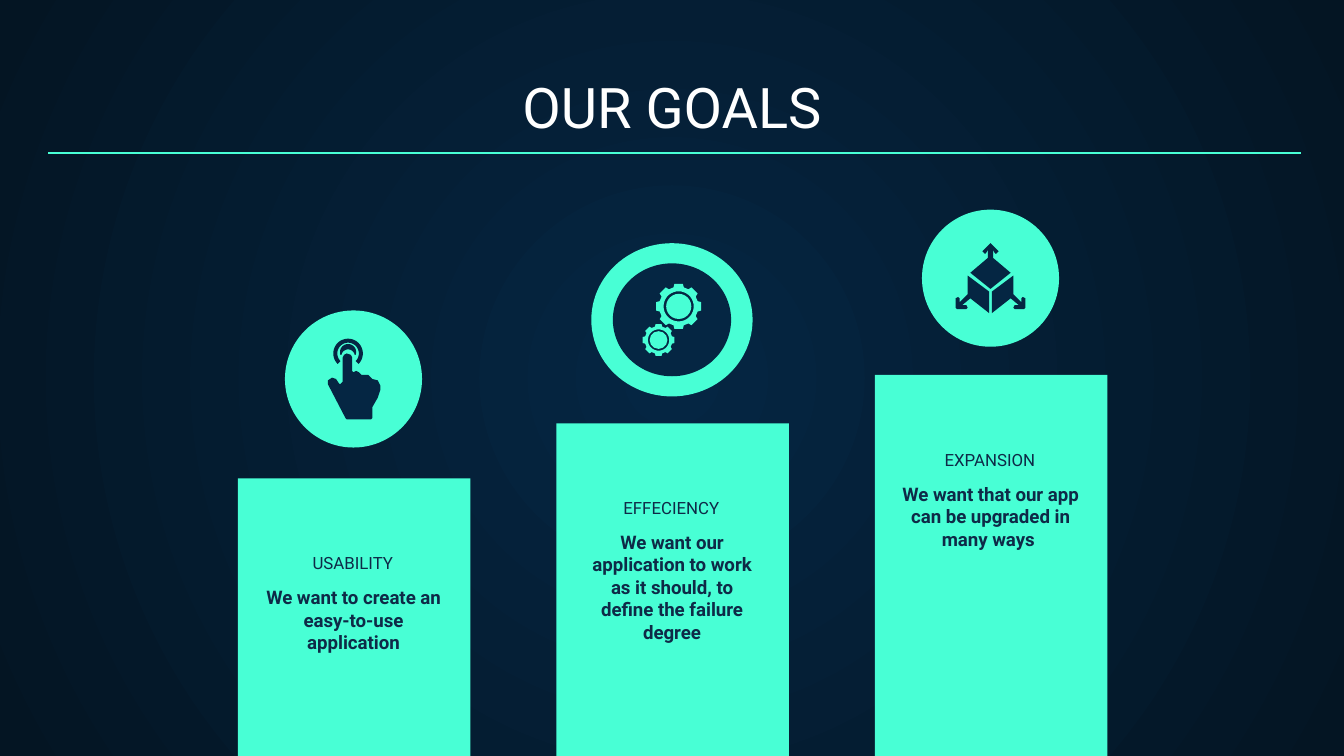
from dataclasses import dataclass
from math import cos, pi, radians, sin

from lxml import etree
from pptx import Presentation
from pptx import util as u
from pptx.dml.color import RGBColor
from pptx.enum import shapes, text
from pptx.oxml.ns import qn

WIDTH = 10
HEIGHT = WIDTH * 9 / 16
FIRST_COLUMN, COLUMN_STEP, BAR_WIDTH = 1.77, 2.37, 1.73
Point = tuple[float, float]


@dataclass(frozen=True)
class Theme:
    font: str = "Roboto"
    mint: str = "48FFD5"
    navy: str = "052643"
    night: str = "041523"
    ink: str = "0E2A47"
    white: str = "FFFFFF"
    title_size: int = 30
    label_size: int = 9
    body_size: int = 10


@dataclass(frozen=True)
class Goal:
    column: int
    top: float
    label: str
    body: str

    @property
    def left(self) -> float:
        return FIRST_COLUMN + self.column * COLUMN_STEP


THEME = Theme()
GOALS = (
    Goal(0, 3.56, "USABILITY", "We want to create an easy-to-use application"),
    Goal(1, 3.15, "EFFECIENCY",
         "We want our application to work as it should, to define the failure degree"),
    Goal(2, 2.79, "EXPANSION", "We want that our app can be upgraded in many ways "),
)
HAND = [
    (2.58, 2.63), (2.56, 2.64), (2.55, 2.66), (2.55, 2.84), (2.53, 2.86), (2.52, 2.85),
    (2.5, 2.82), (2.47, 2.81), (2.44, 2.83), (2.44, 2.86), (2.57, 3.11), (2.58, 3.12),
    (2.76, 3.12), (2.77, 3.11), (2.77, 3.03), (2.81, 2.96), (2.83, 2.9), (2.83, 2.87),
    (2.81, 2.83), (2.77, 2.82), (2.76, 2.81), (2.74, 2.79), (2.72, 2.79), (2.69, 2.79),
    (2.67, 2.77), (2.65, 2.76), (2.63, 2.77), (2.62, 2.76), (2.62, 2.66), (2.61, 2.64),
]
CUBE_AXIS = 7.37
CUBE_SIDE = [
    (7.2, 2.05), (7.2, 2.19), (7.14, 2.25), (7.14, 2.22), (7.13, 2.21), (7.11, 2.22),
    (7.11, 2.29), (7.12, 2.3), (7.19, 2.3), (7.2, 2.29), (7.19, 2.27), (7.16, 2.27),
    (7.22, 2.22), (7.36, 2.33), (7.36, 2.17),
]
CUBE_TOP = [
    (7.37, 1.81), (7.36, 1.82), (7.32, 1.86), (7.31, 1.87), (7.33, 1.89), (7.34, 1.88),
    (7.35, 1.86), (7.35, 1.92), (7.22, 2.03), (7.37, 2.15),
]


def color(value: str) -> RGBColor:
    return RGBColor.from_string(value)


def finish(shape, fill: str) -> None:
    shape.shadow.inherit = False
    shape.fill.solid()
    shape.fill.fore_color.rgb = color(fill)
    shape.line.fill.background()


def add_preset(parent, kind, left: float, top: float, width: float, height: float,
               fill: str) -> None:
    finish(parent.add_shape(kind, *map(u.Inches, (left, top, width, height))), fill)


def add_ellipse(parent, center: Point, rx: float, ry: float, fill: str) -> None:
    x, y = center
    add_preset(parent, shapes.MSO_SHAPE.OVAL, x - rx, y - ry, 2 * rx, 2 * ry, fill)


def add_outline(parent, contours: list[list[Point]], fill: str) -> None:
    """Draw closed contours as one shape; an inner contour cuts a hole."""
    first, *others = [[(u.Inches(x), u.Inches(y)) for x, y in c] for c in contours]
    builder = parent.build_freeform(*first[0])
    builder.add_line_segments(first[1:], close=True)
    for contour in others:
        builder.move_to(*contour[0])
        builder.add_line_segments(contour[1:], close=True)
    finish(builder.convert_to_shape(), fill)


def arc(center: Point, radius: float, start: float, end: float) -> list[Point]:
    """Points along an arc, in degrees clockwise from the right."""
    steps = 36
    angles = [radians(start + (end - start) * i / steps) for i in range(steps + 1)]
    return [(center[0] + radius * cos(a), center[1] + radius * sin(a)) for a in angles]


def mirror(points: list[Point]) -> list[Point]:
    return [(2 * CUBE_AXIS - x, y) for x, y in reversed(points)]


def add_text(page, words: str, left: float, top: float, width: float, height: float,
             size: int, ink: str, bold: bool = False, anchor=text.MSO_ANCHOR.BOTTOM) -> None:
    box = page.shapes.add_textbox(*map(u.Inches, (left, top, width, height)))
    frame = box.text_frame
    frame.word_wrap = True
    frame.vertical_anchor = anchor
    frame.margin_left = frame.margin_right = u.Inches(0.1)
    frame.margin_top = frame.margin_bottom = u.Inches(0.1)
    para = frame.paragraphs[0]
    para.text = words
    para.alignment = text.PP_ALIGN.CENTER
    para.font.name, para.font.size, para.font.bold = THEME.font, u.Pt(size), bold
    para.font.color.rgb = color(ink)


def paint_background(page) -> None:
    fill = page.background.fill
    fill.gradient()
    for stop, value in zip(fill.gradient_stops, (THEME.navy, THEME.night)):
        stop.color.rgb = color(value)
    gradient = page.element.find(".//" + qn("a:gradFill"))
    gradient.remove(gradient.find(qn("a:lin")))
    path = etree.SubElement(gradient, qn("a:path"), path="circle")
    etree.SubElement(path, qn("a:fillToRect"), l="50000", t="50000", r="50000", b="50000")


def add_heading(page) -> None:
    add_text(page, "OUR GOALS", 0.34, 0.48, 9.32, 0.66, THEME.title_size, THEME.white)
    rule = page.shapes.add_connector(
        shapes.MSO_CONNECTOR.STRAIGHT, *map(u.Inches, (0.36, 1.14, 9.68, 1.14)))
    rule.line.color.rgb = color(THEME.mint)
    rule.line.width = u.Pt(0.75)
    etree.SubElement(rule.element.spPr, qn("a:effectLst"))


def add_goal(page, goal: Goal) -> None:
    add_preset(page.shapes, shapes.MSO_SHAPE.RECTANGLE, goal.left, goal.top,
               BAR_WIDTH, HEIGHT - goal.top, THEME.mint)
    add_text(page, goal.label, goal.left - 0.28, goal.top + 0.42, 2.27, 0.36,
             THEME.label_size, THEME.ink)
    add_text(page, goal.body, goal.left + 0.1, goal.top + 0.7, 1.52, 0.98,
             THEME.body_size, THEME.ink, bold=True, anchor=text.MSO_ANCHOR.TOP)


def add_touch_icon(page) -> None:
    add_ellipse(page.shapes, (2.63, 2.82), 0.51, 0.51, THEME.mint)
    icon = page.shapes.add_group_shape().shapes
    tip = (2.59, 2.63)
    ripple = arc(tip, 0.11, 135, 405) + arc(tip, 0.08, 405, 135)
    crescent = arc((2.59, 2.62), 0.06, 160, 380) + arc((2.59, 2.65), 0.05, 350, 190)
    for contour in (ripple, crescent, HAND):
        add_outline(icon, [contour], THEME.navy)


def add_gear(parent, center: Point, radius: float) -> None:
    """Draw an eight-toothed ring around a disc."""
    teeth = 8
    profile = ((-0.34, 0.86), (-0.24, 1), (0.24, 1), (0.34, 0.86))
    rim = []
    for tooth in range(teeth):
        for shift, share in profile:
            angle = 2 * pi * (tooth + shift) / teeth
            rim.append((center[0] + share * radius * cos(angle),
                        center[1] + share * radius * sin(angle)))
    add_outline(parent, [rim, arc(center, 0.66 * radius, 360, 0)], THEME.mint)
    add_ellipse(parent, center, 0.55 * radius, 0.55 * radius, THEME.mint)


def add_gears_icon(page) -> None:
    icon = page.shapes.add_group_shape().shapes
    add_ellipse(icon, (5, 2.38), 0.6, 0.57, THEME.mint)
    add_ellipse(icon, (5, 2.38), 0.44, 0.42, THEME.navy)
    add_gear(icon, (5.05, 2.28), 0.17)
    add_gear(icon, (4.9, 2.53), 0.12)


def add_cube_icon(page) -> None:
    add_ellipse(page.shapes, (7.37, 2.07), 0.51, 0.51, THEME.mint)
    icon = page.shapes.add_group_shape().shapes
    for contour in (CUBE_SIDE, mirror(CUBE_SIDE), CUBE_TOP + mirror(CUBE_TOP)):
        add_outline(icon, [contour], THEME.navy)


def main() -> None:
    deck = Presentation()
    deck.slide_width, deck.slide_height = u.Inches(WIDTH), u.Inches(HEIGHT)
    page = deck.slides.add_slide(deck.slide_layouts[6])
    paint_background(page)
    add_heading(page)
    for goal in GOALS:
        add_goal(page, goal)
    add_touch_icon(page)
    add_gears_icon(page)
    add_cube_icon(page)
    deck.save("out.pptx")


if __name__ == "__main__":
    main()
